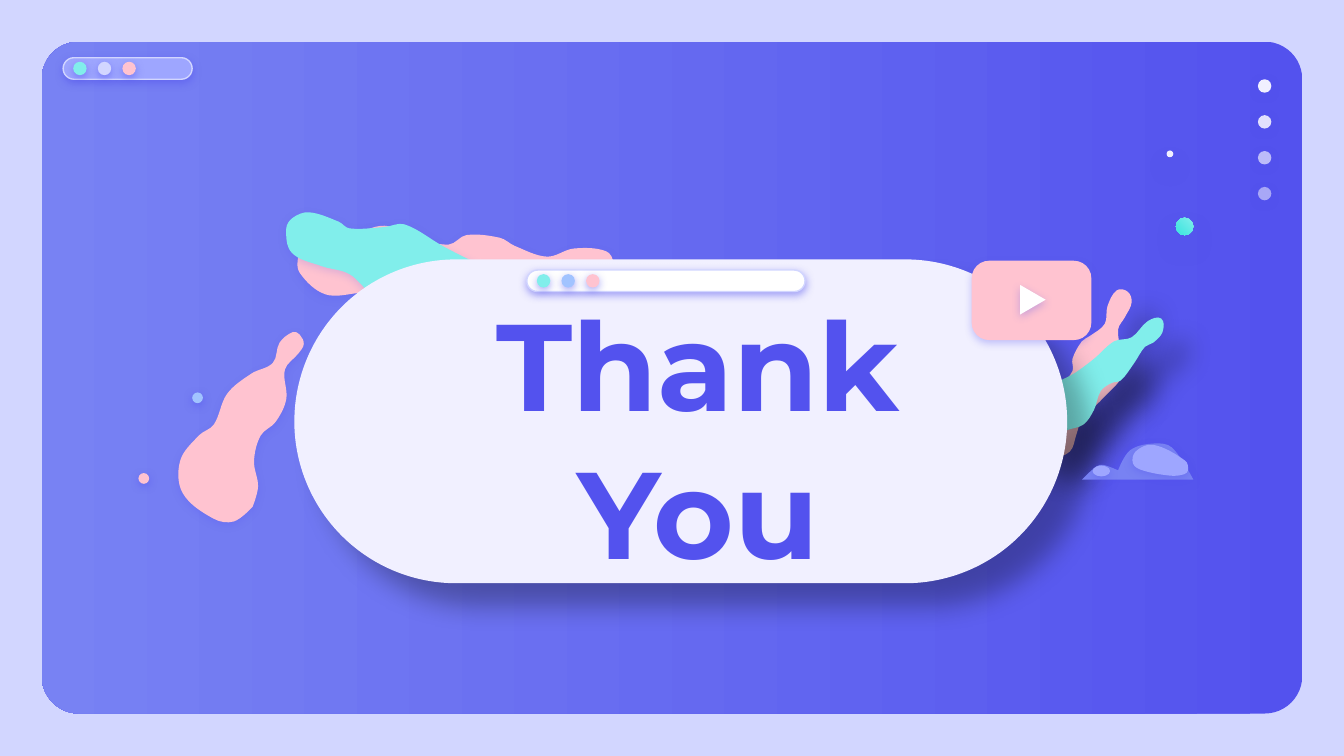
from dataclasses import dataclass

from lxml import etree
from pptx import Presentation
from pptx import util as u
from pptx.dml.color import RGBColor
from pptx.enum import shapes, text
from pptx.oxml import ns

COLORS = {
    "sky": "D2D6FF", "indigo": "5352EE", "violet": "7882F3", "lilac": "9EA6FF",
    "aqua": "81EEEB", "teal": "3AE4DF", "blue": "A1C3FF", "pink": "FFC3D0",
    "mist": "F1F0FF", "white": "FFFFFF", "black": "000000",
}
SLIDE_W, SLIDE_H = u.Inches(10), u.Inches(5.625)
CELL = SLIDE_W // 1000
ROUND = shapes.MSO_SHAPE.ROUNDED_RECTANGLE
OVAL = shapes.MSO_SHAPE.OVAL


@dataclass(frozen=True)
class Shadow:
    color: str
    opacity: int
    blur: float = 4.5
    distance: float = 1.5
    direction: int = 90


@dataclass(frozen=True)
class Style:
    fill: str
    shadow: Shadow | None = None
    opacity: int = 100
    fill_end: str | None = None
    angle: int = 0
    outline: str | None = None


@dataclass(frozen=True)
class Blob:
    style: Style
    points: list[tuple[int, int]]
    corners: tuple[int, ...] = ()


GLOW = Shadow("indigo", 50)
LEAF = Shadow("indigo", 18)
CARD = Shadow("indigo", 31)
FLOAT = Shadow("indigo", 38, 12.4, 6.8)
DROP = Shadow("black", 30, 15, 18, 45)

LEFT_LEAVES = [
    Blob(Style("pink", LEAF), [
        (456, 196), (451, 187), (427, 185), (407, 191), (383, 183), (372, 177),
        (347, 175), (334, 182), (309, 177), (286, 168), (261, 176), (240, 185),
        (227, 186), (222, 191), (223, 203), (242, 219), (267, 218), (285, 215), (321, 226),
        (363, 235), (385, 222), (409, 208), (427, 208), (447, 207)]),
    Blob(Style("aqua", LEAF), [
        (448, 244), (437, 233), (428, 231), (409, 225), (393, 209), (360, 198),
        (331, 184), (301, 167), (286, 169), (260, 170), (252, 165), (230, 158), (218, 162),
        (213, 170), (217, 188), (239, 198), (260, 204), (280, 221), (304, 223),
        (328, 221), (345, 227), (354, 235), (381, 240), (406, 244), (416, 250), (434, 254),
        (446, 248)]),
]
RIGHT_LEAVES = [
    Blob(Style("pink", DROP), [
        (839, 217), (831, 216), (824, 228), (822, 241), (811, 250), (805, 254), (798, 267),
        (798, 276), (789, 287), (778, 297), (776, 312), (776, 326), (773, 333), (775, 338),
        (782, 341), (796, 336), (801, 323), (805, 312), (820, 297), (836, 278), (834, 262),
        (832, 245), (837, 236), (842, 225)]),
    Blob(Style("aqua", DROP), [
        (864, 237), (854, 239), (842, 251), (829, 254), (814, 267), (799, 278), (781, 288),
        (778, 296), (771, 310), (764, 314), (757, 321), (756, 329), (760, 334), (771, 338),
        (783, 330), (792, 321), (806, 316), (814, 305), (819, 291), (827, 285), (834, 283),
        (844, 270), (852, 258), (858, 255), (865, 247)]),
]
LOWER_LEAF = Blob(Style("pink", Shadow("indigo", 22)), [
    (218, 247), (223, 249), (226, 256), (222, 263), (212, 275), (213, 297), (205, 314),
    (194, 324), (189, 343), (192, 362), (188, 377), (174, 388), (159, 386), (136, 367),
    (134, 343), (148, 324), (159, 316), (169, 293), (187, 278), (203, 270), (208, 255)],
    corners=(10,))
PLAY = Blob(Style("white", CARD), [(759, 212), (759, 234), (778, 223)], corners=(0, 1, 2))
CLOUD = [
    Blob(Style("violet", CARD), [
        (859, 330), (841, 335), (832, 350), (821, 346), (816, 347), (805, 357), (888, 357),
        (872, 333)], corners=(2, 5, 6)),
    Blob(Style("lilac", CARD), [
        (858, 331), (845, 336), (843, 345), (850, 350), (871, 354), (881, 353),
        (884, 350), (882, 343)]),
]


def rgb(name: str) -> RGBColor:
    return RGBColor.from_string(COLORS[name])


def add_alpha(color_element, opacity: int) -> None:
    etree.SubElement(color_element, ns.qn("a:alpha"), val=str(opacity * 1000))


def apply_style(shape, style: Style) -> None:
    shape.shadow.inherit = False
    if style.fill_end:
        shape.fill.gradient()
        shape.fill.gradient_angle = style.angle
        for stop, name in zip(shape.fill.gradient_stops, (style.fill, style.fill_end)):
            stop.color.rgb = rgb(name)
    else:
        shape.fill.solid()
        shape.fill.fore_color.rgb = rgb(style.fill)
    properties = shape._element.spPr
    if style.opacity < 100:
        add_alpha(properties.find(".//" + ns.qn("a:srgbClr")), style.opacity)
    if style.outline:
        shape.line.color.rgb = rgb(style.outline)
        shape.line.width = u.Pt(0.75)
    else:
        shape.line.fill.background()
    if style.shadow:
        cast = style.shadow
        outer = etree.SubElement(
            properties.find(ns.qn("a:effectLst")), ns.qn("a:outerShdw"),
            blurRad=str(u.Pt(cast.blur)), dist=str(u.Pt(cast.distance)),
            dir=str(cast.direction * 60000), algn="bl", rotWithShape="0")
        add_alpha(etree.SubElement(outer, ns.qn("a:srgbClr"), val=COLORS[cast.color]), cast.opacity)


def draw_preset(slide, kind, left: float, top: float, width: float, height: float,
                style: Style, rounding: float | None = None) -> None:
    shape = slide.shapes.add_shape(kind, *(round(v * CELL) for v in (left, top, width, height)))
    if rounding is not None:
        shape.adjustments[0] = rounding
    apply_style(shape, style)


def draw_dot(slide, left: float, top: float, size: float, style: Style) -> None:
    draw_preset(slide, OVAL, left, top, size, size, style)


def draw_window_bar(slide, left: float, top: float, width: float, fill: str, middle: str) -> None:
    draw_preset(slide, ROUND, left, top, width, 16, Style(fill, GLOW, outline="sky"), 0.5)
    for index, color in enumerate(("aqua", middle, "pink")):
        draw_dot(slide, left + 7.5 + index * 18.3, top + 3, 10, Style(color, GLOW))


def curve_edges(shape, blob: Blob) -> None:
    knots = [complex(*point) * CELL - complex(shape.left, shape.top) for point in blob.points]
    count = len(knots)
    tangents = []
    for i in range(count):
        chord = knots[(i + 1) % count] - knots[i - 1]
        tangents.append(0 if i in blob.corners else chord / abs(chord))
    edges = list(shape._element.iter(ns.qn("a:lnTo")))
    for i, edge in enumerate(edges):
        j = (i + 1) % count
        reach = abs(knots[j] - knots[i]) / 3
        edge.tag = ns.qn("a:cubicBezTo")
        handles = (knots[i] + tangents[i] * reach, knots[j] - tangents[j] * reach)
        for place, handle in enumerate(handles):
            edge.insert(place, etree.Element(
                ns.qn("a:pt"), x=str(round(handle.real)), y=str(round(handle.imag))))


def draw_blob(slide, blob: Blob) -> None:
    first, *rest = blob.points
    builder = slide.shapes.build_freeform(*first, scale=float(CELL))
    builder.add_line_segments([*rest, first], close=True)
    shape = builder.convert_to_shape()
    scale_path = shape._element.find(".//" + ns.qn("a:path"))
    scale_path.set("w", str(shape.width))
    scale_path.set("h", str(shape.height))
    for point in scale_path.iter(ns.qn("a:pt")):
        for axis in ("x", "y"):
            point.set(axis, str(int(point.get(axis)) * CELL))
    curve_edges(shape, blob)
    apply_style(shape, blob.style)


def write_text(shape, words: str, *, size: float, color: str, font: str, bold: bool) -> None:
    frame = shape.text_frame
    frame.text = words
    frame.word_wrap = True
    frame.auto_size = text.MSO_AUTO_SIZE.NONE
    frame.vertical_anchor = text.MSO_ANCHOR.MIDDLE
    frame.margin_left = frame.margin_right = frame.margin_top = frame.margin_bottom = u.Inches(0.1)
    line = frame.paragraphs[0]
    line.alignment = text.PP_ALIGN.CENTER
    line.line_spacing = 1.0
    face = line.runs[0].font
    face.size, face.bold, face.name = u.Pt(size), bold, font
    face.color.rgb = rgb(color)


def main() -> None:
    deck = Presentation()
    deck.slide_width, deck.slide_height = SLIDE_W, SLIDE_H
    slide = deck.slides.add_slide(deck.slide_layouts[5])
    slide.background.fill.solid()
    slide.background.fill.fore_color.rgb = rgb("sky")

    draw_preset(slide, ROUND, 31, 31, 938, 500, Style("indigo", fill_end="violet", angle=180), 0.056)
    draw_window_bar(slide, 47, 43, 96, "lilac", "sky")
    for row, opacity in enumerate((100, 90, 67, 54)):
        draw_dot(slide, 936, 59 + row * 26.7, 10, Style("mist", GLOW, opacity))

    for leaf in (*LEFT_LEAVES, *RIGHT_LEAVES, LOWER_LEAF):
        draw_blob(slide, leaf)
    draw_dot(slide, 143, 292, 8, Style("blue", GLOW))
    draw_dot(slide, 103, 352, 8, Style("pink", GLOW))
    draw_dot(slide, 875, 162, 13, Style("aqua", FLOAT, fill_end="teal", angle=225))
    draw_dot(slide, 868, 112, 5, Style("mist", FLOAT))

    draw_preset(slide, ROUND, 219, 193, 575, 241, Style("mist", DROP), 0.5)
    draw_preset(slide, ROUND, 723, 194, 89, 59, Style("pink", CARD), 0.22)
    for blob in (PLAY, *CLOUD):
        draw_blob(slide, blob)
    draw_preset(slide, OVAL, 813, 346.5, 13, 8, Style("lilac", CARD))
    draw_window_bar(slide, 392, 201, 207, "white", "blue")

    title = slide.shapes.title
    title.left, title.top, title.width, title.height = (v * CELL for v in (287, 213, 465, 223))
    write_text(title, "Thank You", size=66, color="indigo", font="Montserrat", bold=True)
    slide.shapes._spTree.append(title._element)
    deck.save("out.pptx")


if __name__ == "__main__":
    main()
